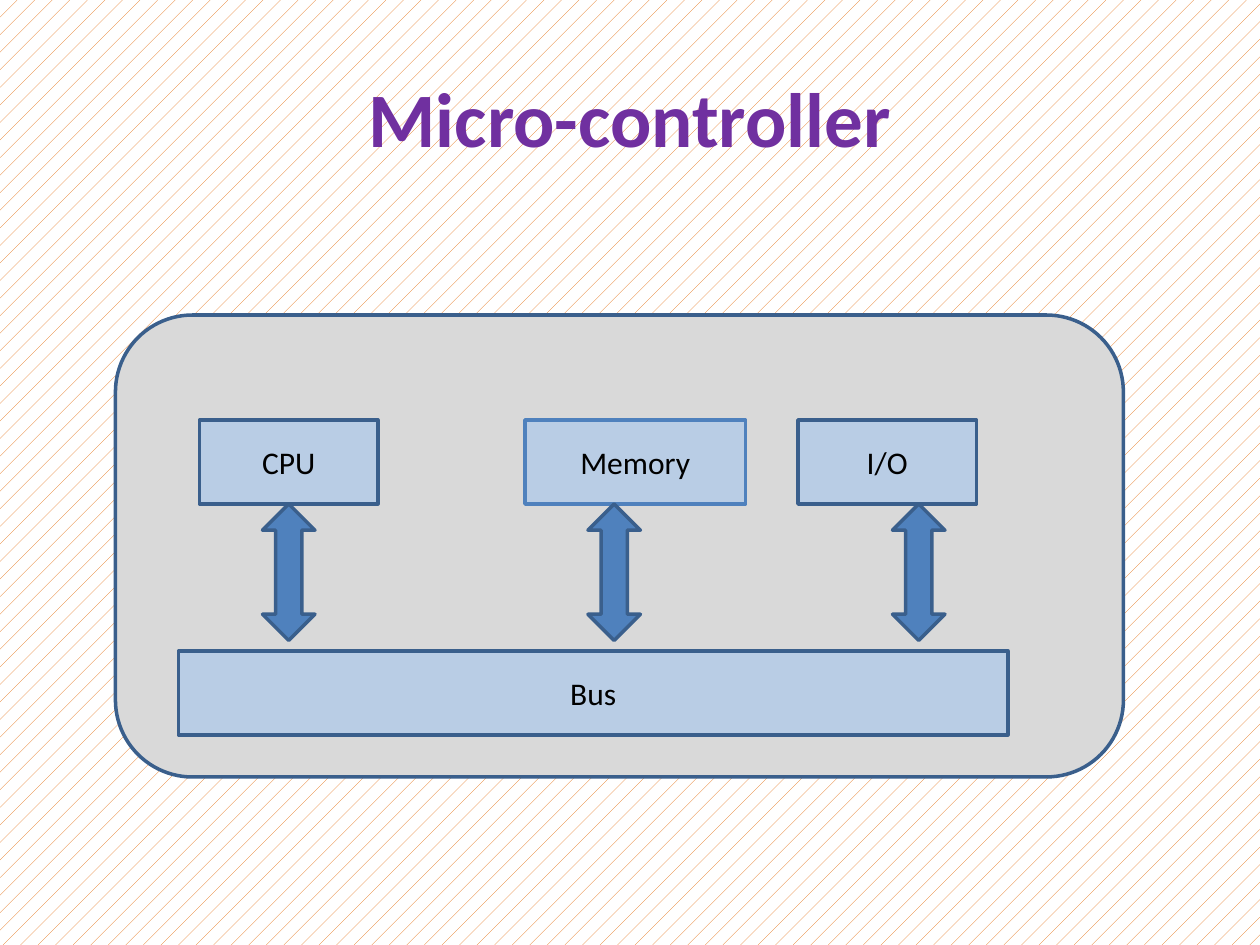
"""Build a slide showing the parts of a micro-controller joined by a bus."""
from pptx import Presentation
from pptx.dml.color import RGBColor
from pptx.enum.dml import MSO_PATTERN
from pptx.enum.shapes import MSO_SHAPE
from pptx.enum.text import MSO_ANCHOR, PP_ALIGN
from pptx.util import Pt

PX = 7620
RECT, ROUND, ARROW = MSO_SHAPE.RECTANGLE, MSO_SHAPE.ROUNDED_RECTANGLE, MSO_SHAPE.UP_DOWN_ARROW
CENTER, MIDDLE = PP_ALIGN.CENTER, MSO_ANCHOR.MIDDLE
DOTS = MSO_PATTERN.PERCENT_5
WHITE = RGBColor(0xFF, 0xFF, 0xFF)
BLACK = RGBColor(0x00, 0x00, 0x00)
ORANGE = RGBColor(0xE4, 0x6C, 0x0A)
PURPLE = RGBColor(0x70, 0x30, 0xA0)
GRAY = RGBColor(0xD9, 0xD9, 0xD9)
PALE = RGBColor(0xB9, 0xCD, 0xE5)
BLUE = RGBColor(0x4F, 0x81, 0xBD)
NAVY = RGBColor(0x3A, 0x5F, 0x8C)


def write(shape, text, size, color, bold=False):
    frame = shape.text_frame
    frame.text = text
    frame.word_wrap = True
    frame.vertical_anchor = MIDDLE
    para = frame.paragraphs[0]
    para.alignment = CENTER
    font = para.font
    font.name, font.size, font.bold = "Calibri", Pt(size), bold
    font.color.rgb = color


def draw(kind, left, top, width, height, fill, line=NAVY):
    shape = slide.shapes.add_shape(kind, left * PX, top * PX, width * PX, height * PX)
    shape.shadow.inherit = False
    shape.fill.solid()
    shape.fill.fore_color.rgb = fill
    shape.line.color.rgb = line
    shape.line.width = Pt(2)
    return shape


prs = Presentation()
prs.slide_width, prs.slide_height = 1200 * PX, 900 * PX
slide = prs.slides.add_slide(prs.slide_layouts[5])

back = slide.background.fill
back.patterned()
back.pattern = DOTS
back.fore_color.rgb = ORANGE
back.back_color.rgb = WHITE

title = slide.shapes.title
title.left, title.top, title.width, title.height = 60 * PX, 36 * PX, 1080 * PX, 150 * PX
write(title, "Micro-controller", 44, PURPLE, True)

draw(ROUND, 110, 300, 960, 440, GRAY)

blocks = [
    ("CPU", 190, 400, 170, NAVY),
    ("Memory", 500, 400, 210, BLUE),
    ("I/O", 760, 400, 170, NAVY),
    ("Bus", 170, 620, 790, NAVY),
]
for name, left, top, width, line in blocks:
    write(draw(RECT, left, top, width, 80, PALE, line), name, 18, BLACK)

for left in (850, 560, 250):
    draw(ARROW, left, 480, 50, 130, BLUE)

prs.save("out.pptx")
